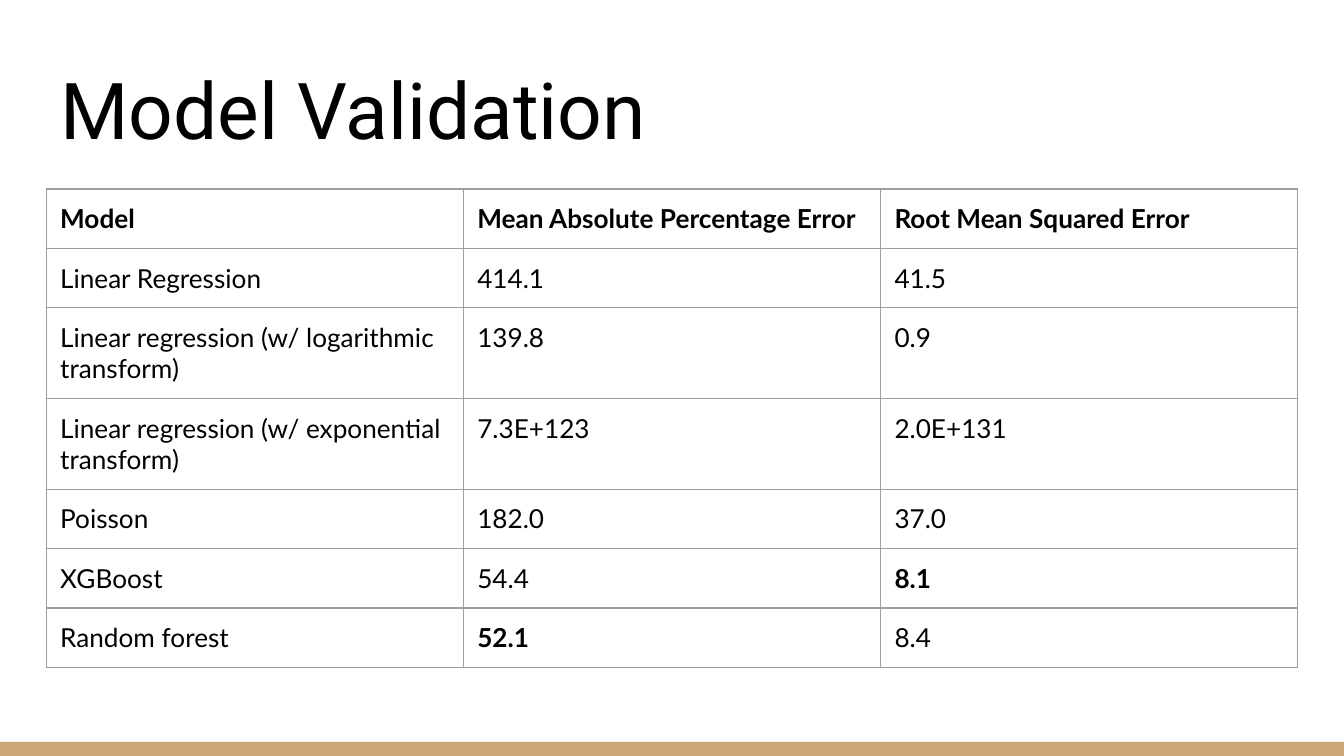
"""Build the model validation slide with its table of error measures."""
from dataclasses import dataclass
from typing import NamedTuple

from lxml import etree
from pptx import Presentation
from pptx.dml import color
from pptx.enum import shapes, text
from pptx.oxml import ns
from pptx import util as u

EMU_PER_PX = 9525


@dataclass(frozen=True)
class Theme:
    ink: str = "000000"
    accent: str = "CCA677"
    rule: str = "9E9E9E"
    title_font: str = "Roboto"
    body_font: str = "Lato"
    title_size: int = 42
    body_size: int = 14
    rule_width: float = 0.75
    inset: int = 10


class Box(NamedTuple):
    left: int
    top: int
    width: int
    height: int


class Score(NamedTuple):
    model: str
    mape: str
    rmse: str
    bold: tuple[str, ...] = ()
    height: int = 33


THEME = Theme()
SLIDE = Box(0, 0, 960, 540)
FOOTER_BAR = Box(0, 530, 960, 10)
TITLE = Box(33, 34, 895, 87)
TABLE = Box(33, 135, 894, 315)
TALL_ROW = 51
SCORES = [
    Score("Model", "Mean Absolute Percentage Error", "Root Mean Squared Error",
          bold=("model", "mape", "rmse")),
    Score("Linear Regression", "414.1", "41.5"),
    Score("Linear regression (w/ logarithmic transform)", "139.8", "0.9", height=TALL_ROW),
    Score("Linear regression (w/ exponential transform)", "7.3E+123", "2.0E+131", height=TALL_ROW),
    Score("Poisson", "182.0", "37.0"),
    Score("XGBoost", "54.4", "8.1", bold=("rmse",)),
    Score("Random forest", "52.1", "8.4", bold=("mape",)),
]
MEASURES = ("model", "mape", "rmse")


def px(length: int) -> u.Emu:
    return u.Emu(length * EMU_PER_PX)


def emu(box: Box) -> list[u.Emu]:
    return [px(length) for length in box]


def write(frame, content: str, *, font: str, size: int, bold: bool = False) -> None:
    paragraph = frame.paragraphs[0]
    paragraph.alignment = text.PP_ALIGN.LEFT
    run = paragraph.add_run()
    run.text = content
    run.font.name = font
    run.font.size = u.Pt(size)
    run.font.bold = bold
    run.font.color.rgb = color.RGBColor.from_string(THEME.ink)


def set_insets(holder) -> None:
    holder.margin_left = holder.margin_right = px(THEME.inset)
    holder.margin_top = holder.margin_bottom = px(THEME.inset)


def draw_footer_bar(slide) -> None:
    bar = slide.shapes.add_shape(shapes.MSO_SHAPE.RECTANGLE, *emu(FOOTER_BAR))
    bar.shadow.inherit = False
    bar.fill.solid()
    bar.fill.fore_color.rgb = color.RGBColor.from_string(THEME.accent)
    bar.line.fill.background()


def draw_title(slide, content: str) -> None:
    title = slide.shapes.title
    title.left, title.top, title.width, title.height = emu(TITLE)
    frame = title.text_frame
    frame.word_wrap = True
    frame.auto_size = text.MSO_AUTO_SIZE.NONE
    frame.vertical_anchor = text.MSO_ANCHOR.BOTTOM
    set_insets(frame)
    write(frame, content, font=THEME.title_font, size=THEME.title_size)


def rule_cell(cell) -> None:
    properties = cell._tc.get_or_add_tcPr()
    for side in ("a:lnL", "a:lnR", "a:lnT", "a:lnB"):
        line = etree.SubElement(properties, ns.qn(side), w=str(u.Pt(THEME.rule_width)))
        fill = etree.SubElement(line, ns.qn("a:solidFill"))
        etree.SubElement(fill, ns.qn("a:srgbClr"), val=THEME.rule)


def draw_scores(slide, scores: list[Score]) -> None:
    table = slide.shapes.add_table(len(scores), len(MEASURES), *emu(TABLE)).table
    table.first_row = table.horz_banding = False
    for column in table.columns:
        column.width = px(TABLE.width // len(MEASURES))
    for row, score in zip(table.rows, scores):
        row.height = px(score.height)
        for cell, measure in zip(row.cells, MEASURES):
            set_insets(cell)
            rule_cell(cell)
            cell.fill.background()
            write(cell.text_frame, getattr(score, measure), font=THEME.body_font,
                  size=THEME.body_size, bold=measure in score.bold)


def main() -> None:
    deck = Presentation()
    deck.slide_width, deck.slide_height = px(SLIDE.width), px(SLIDE.height)
    slide = deck.slides.add_slide(deck.slide_layouts.get_by_name("Title Only"))
    draw_footer_bar(slide)
    draw_title(slide, "Model Validation")
    draw_scores(slide, SCORES)
    deck.save("out.pptx")


if __name__ == "__main__":
    main()
